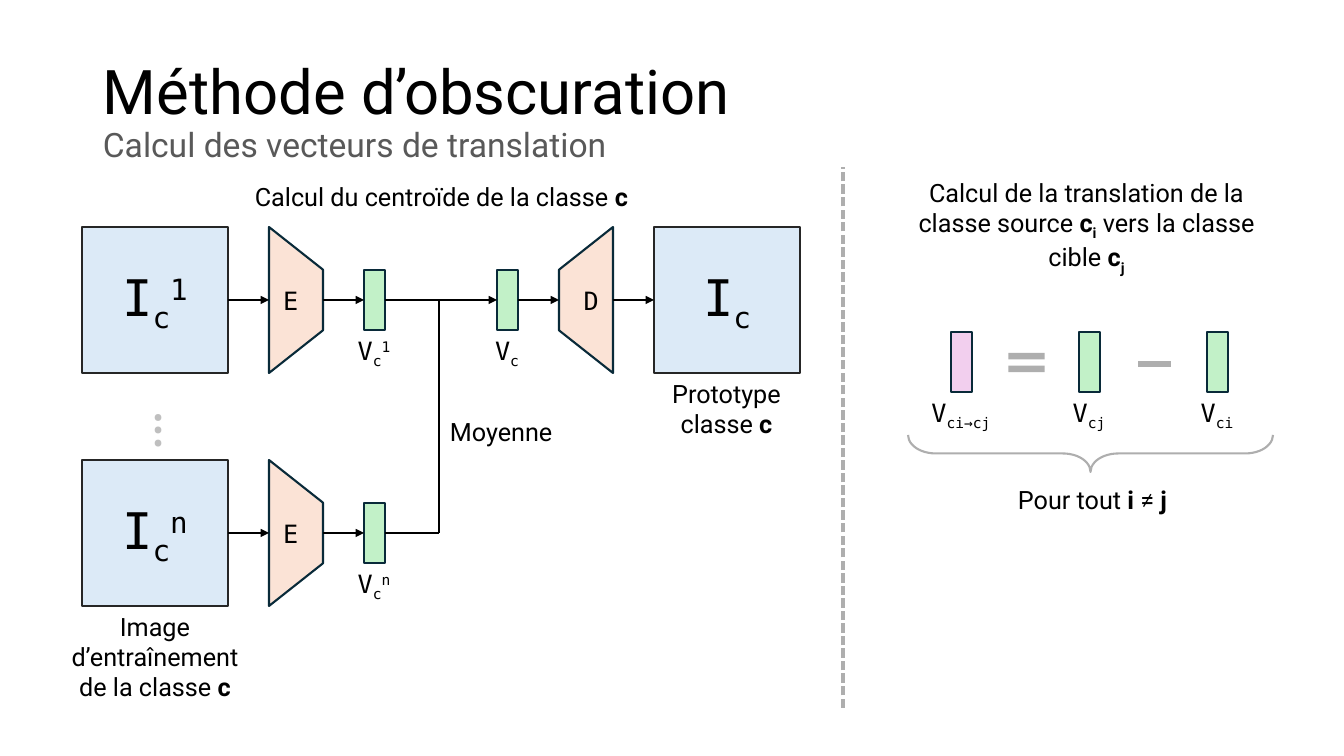
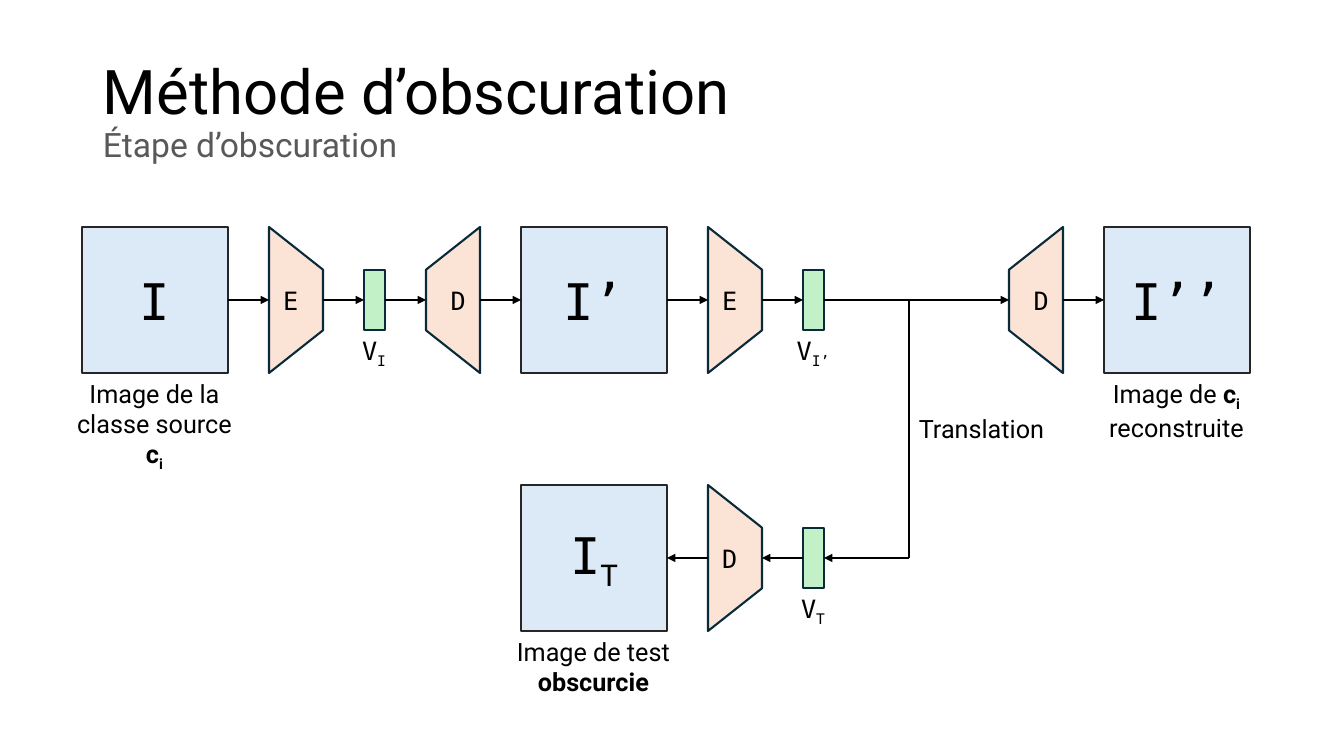
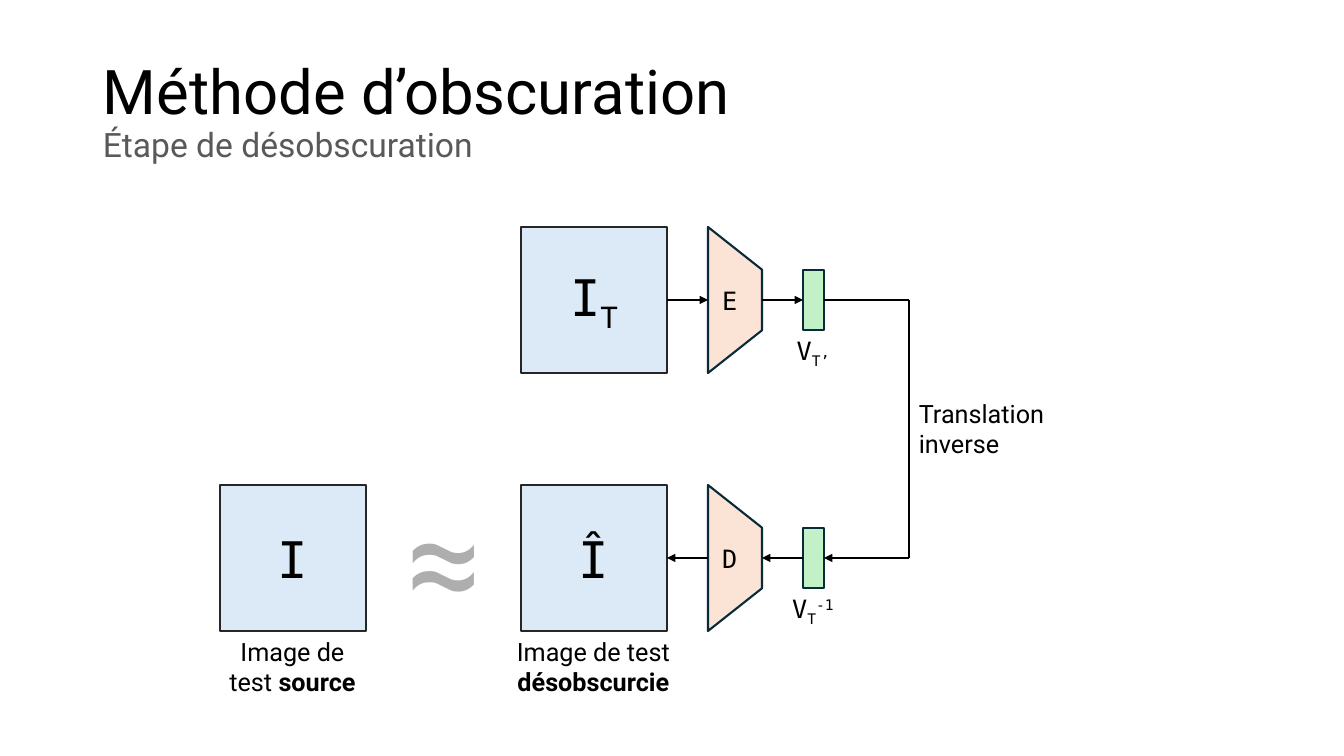
from collections import namedtuple
from dataclasses import dataclass

from lxml.etree import SubElement
from pptx import Presentation
from pptx.dml.color import RGBColor
from pptx.enum.dml import MSO_LINE
from pptx.enum.shapes import MSO_CONNECTOR, MSO_SHAPE
from pptx.enum.text import MSO_ANCHOR, PP_ALIGN
from pptx.oxml.ns import qn
from pptx.util import Emu, Pt


@dataclass(frozen=True)
class Theme:
    ink: str = "000000"
    muted: str = "595959"
    symbol: str = "AEAEAE"
    dots: str = "BFBFBF"
    image: str = "DCEAF7"
    image_edge: str = "262626"
    coder: str = "FBE3D6"
    vector: str = "C2F1C8"
    shift: str = "F2CFEE"
    network_edge: str = "092A39"
    sans: str = "Roboto"
    mono: str = "DejaVu Sans Mono"
    title: int = 44
    subtitle: int = 24
    body: int = 18
    image_label: int = 36
    approx: int = 96
    stroke: float = 1.5
    divider: float = 2.25


THEME = Theme()
SLIDE_W, SLIDE_H = 1344, 756
SCALE = 12192000 / SLIDE_W

# Sizes and row centres, in px
IMAGE, CODER_W, VECTOR_W, VECTOR_H, GAP = 146, 54, 21, 60, 41
LABEL_W, LABEL_H = 88, 40
TOP_ROW, TRAINING_ROW, LOWER_ROW, FORMULA_ROW = 300, 533, 558, 362
FORMULA_GAP = 107
MEAN_X, TRANSLATION_X = 439, 909
TITLE_BOX = (93, 40, 1159, 146)

BOLD = {"bold": True}
SUB, SUP = {"baseline": -25000}, {"baseline": 30000}
LEFT = {"align": PP_ALIGN.LEFT}

Step = namedtuple("Step", "kind label caption width", defaults=("", "", LABEL_W))
Chain = namedtuple("Chain", "x y steps arrows gap", defaults=("right", GAP))
Stop = namedtuple("Stop", "chain step")
Route = namedtuple("Route", "start end arrow", defaults=(True,))
Placed = namedtuple("Placed", "shape x y width is_rect")


def indexed(letter, below, above=""):
    """Runs for a letter with a subscript and, if given, a superscript."""
    return [letter, (below, SUB)] + ([(above, SUP)] if above else [])


def bold_class(index):
    return [("c", BOLD), (index, BOLD | SUB)]


ENCODER, DECODER = Step("narrowing", "E"), Step("widening", "D")
LOWER_DECODER = Step("narrowing", "D")


def vector(below, above="", kind="vector"):
    return Step(kind, "", indexed("V", below, above))


SLIDES = [
    {
        "subtitle": "Calcul des vecteurs de translation",
        "chains": [
            Chain(82, TOP_ROW, [Step("image", indexed("I", "c", "1")), ENCODER, vector("c", "1")]),
            Chain(497, TOP_ROW, [
                vector("c"), DECODER,
                Step("image", indexed("I", "c"), ["Prototype\nclasse ", ("c", BOLD)], 165),
            ]),
            Chain(82, TRAINING_ROW, [
                Step("image", indexed("I", "c", "n"),
                     ["Image d’entraînement de la classe ", ("c", BOLD)], 190),
                ENCODER, vector("c", "n"),
            ]),
            Chain(951, FORMULA_ROW,
                  [vector("ci→cj", kind="shift"), vector("cj"), vector("ci")],
                  None, FORMULA_GAP),
        ],
        "routes": [
            Route(Stop(0, 2), Stop(1, 0)),
            Route((MEAN_X, TOP_ROW), (MEAN_X, TRAINING_ROW), False),
            Route(Stop(2, 2), (MEAN_X, TRAINING_ROW), False),
        ],
        "texts": [
            ((82, 176, 719, 40), ["Calcul du centroïde de la classe ", ("c", BOLD)], {}),
            ((901, 172, 371, 102),
             ["Calcul de la translation de la classe source ", *bold_class("i"),
              " vers la classe cible ", *bold_class("j")], {}),
            ((440, 411, 175, 40), ["Moyenne"], LEFT),
            ((907, 479, 371, 40),
             ["Pour tout ", ("i", BOLD), " ≠ ", ("j", BOLD)], {}),
            ((95, 373, 95, 88), ["…"],
             LEFT | {"size": THEME.title, "color": THEME.dots, "vert": "vert270"}),
        ],
        "symbols": [
            (MSO_SHAPE.MATH_EQUAL, (1002, 337, 49, 51), (0.13, 0.12), 0),
            (MSO_SHAPE.MATH_MINUS, (1132, 351, 45, 26), (), 0),
            (MSO_SHAPE.RIGHT_BRACE, (1072, 271, 37, 365), (0.75, 0.5), 90),
        ],
        "divider": ((843, 708), (843, 167)),
    },
    {
        "subtitle": "Étape d’obscuration",
        "chains": [
            Chain(82, TOP_ROW, [
                Step("image", "I", ["Image de la classe source ", *bold_class("i")], 197),
                ENCODER, vector("I"), DECODER, Step("image", "I’"), ENCODER, vector("I’"),
            ]),
            Chain(1009, TOP_ROW, [
                DECODER,
                Step("image", "I’’", ["Image de ", *bold_class("i "), "reconstruite"], 165),
            ]),
            Chain(521, LOWER_ROW, [
                Step("image", indexed("I", "T"), ["Image de test ", ("obscurcie", BOLD)], 197),
                LOWER_DECODER, vector("T"),
            ], "left"),
        ],
        "routes": [
            Route(Stop(0, 6), Stop(1, 0)),
            Route((TRANSLATION_X, TOP_ROW), (TRANSLATION_X, LOWER_ROW), False),
            Route((TRANSLATION_X, LOWER_ROW), Stop(2, 2)),
        ],
        "texts": [((909, 408, 175, 40), ["Translation"], LEFT)],
    },
    {
        "subtitle": "Étape de désobscuration",
        "chains": [
            Chain(521, TOP_ROW, [Step("image", indexed("I", "T")), ENCODER, vector("T’")]),
            Chain(521, LOWER_ROW, [
                Step("image", "Î", ["Image de test ", ("désobscurcie", BOLD)], 197),
                LOWER_DECODER, vector("T", "-1"),
            ], "left"),
            Chain(220, LOWER_ROW, [
                Step("image", "I", ["Image de test ", ("source", BOLD)], 165),
            ]),
        ],
        "routes": [
            Route((TRANSLATION_X, TOP_ROW), Stop(0, 2), False),
            Route((TRANSLATION_X, TOP_ROW), (TRANSLATION_X, LOWER_ROW), False),
            Route((TRANSLATION_X, LOWER_ROW), Stop(1, 2)),
        ],
        "texts": [
            ((909, 393, 175, 72), ["Translation inverse"], LEFT),
            ((367, 471, 154, 173), ["≈"], {"size": THEME.approx, "color": THEME.symbol}),
        ],
    },
]


def px(*lengths):
    return [Emu(round(length * SCALE)) for length in lengths]


def rgb(color):
    return RGBColor.from_string(color)


def write(shape, runs, align=PP_ALIGN.CENTER, anchor=MSO_ANCHOR.TOP, spacing=None,
          vert=None, **base_format):
    """Fill a shape with runs: strings, or pairs of a string and its own format."""
    frame = shape.text_frame
    frame.word_wrap = True
    frame.vertical_anchor = anchor
    if vert:
        frame._txBody.bodyPr.set("vert", vert)
    paragraph = frame.paragraphs[0]
    for item in runs:
        text, own_format = (item, {}) if isinstance(item, str) else item
        look = {"size": THEME.body, "font": THEME.sans, "color": THEME.ink,
                "bold": False, "baseline": 0} | base_format | own_format
        for number, line in enumerate(text.split("\n")):
            if number:
                paragraph = frame.add_paragraph()
            if not line:
                continue
            run = paragraph.add_run()
            run.text = line
            run.font.size = Pt(look["size"])
            run.font.name = look["font"]
            run.font.bold = look["bold"]
            run.font.color.rgb = rgb(look["color"])
            if look["baseline"]:
                run._r.get_or_add_rPr().set("baseline", str(look["baseline"]))
    for paragraph in frame.paragraphs:
        paragraph.alignment = align
        if spacing:
            paragraph.line_spacing = spacing


def add_text(slide, box, runs, **text_format):
    write(slide.shapes.add_textbox(*px(*box)), runs, **text_format)


def add_outline(slide, preset, box, fill=None, edge=None, adjustments=(), rotation=0):
    shape = slide.shapes.add_shape(preset, *px(*box))
    shape.shadow.inherit = False
    shape.rotation = rotation
    for index, value in enumerate(adjustments):
        shape.adjustments[index] = value
    if fill:
        shape.fill.solid()
        shape.fill.fore_color.rgb = rgb(fill)
    else:
        shape.fill.background()
    if edge:
        shape.line.color.rgb = rgb(edge)
        shape.line.width = Pt(THEME.stroke)
    else:
        shape.line.fill.background()
    return shape


def add_line(slide, start, end, color=THEME.ink, width=THEME.stroke, arrow=False, dash=None):
    line = slide.shapes.add_connector(MSO_CONNECTOR.STRAIGHT, *px(*start, *end))
    line.line.color.rgb = rgb(color)
    line.line.width = Pt(width)
    if dash:
        line.line.dash_style = dash
    if arrow:
        SubElement(line.line._get_or_add_ln(), qn("a:tailEnd"), type="triangle")
    SubElement(line._element.spPr, qn("a:effectLst"))
    return line


def side_facing(stop, other):
    """Point on the side of a step that looks at the other end, and its connection site."""
    if not isinstance(stop, Placed):
        return stop, None
    other_x = other.x if isinstance(other, Placed) else other[0]
    if other_x > stop.x:
        return (stop.x + stop.width, stop.y), 3
    return (stop.x, stop.y), 1


def join(slide, start, end, arrow=True):
    start_point, start_site = side_facing(start, end)
    end_point, end_site = side_facing(end, start)
    line = add_line(slide, start_point, end_point, arrow=arrow)
    if start_site and start.is_rect:
        line.begin_connect(start.shape, start_site)
    if end_site and end.is_rect:
        line.end_connect(end.shape, end_site)


def add_step(slide, step, x, y):
    """Draw one step from its left edge and row centre, with its caption below."""
    is_rect = step.kind in ("image", "vector", "shift")
    size, vert, caption_font = THEME.body, None, THEME.mono
    if is_rect:
        if step.kind == "image":
            width = height = IMAGE
            fill, edge = THEME.image, THEME.image_edge
            size, caption_font = THEME.image_label, THEME.sans
        else:
            width, height = VECTOR_W, VECTOR_H
            fill = THEME.shift if step.kind == "shift" else THEME.vector
            edge = THEME.network_edge
        shape = add_outline(slide, MSO_SHAPE.RECTANGLE, (x, y - height // 2, width, height),
                            fill, edge)
    else:
        width, height = CODER_W, IMAGE
        rotation, vert = (90, "vert270") if step.kind == "narrowing" else (270, "vert")
        box = (x + (width - height) // 2, y - width // 2, height, width)
        shape = add_outline(slide, MSO_SHAPE.TRAPEZOID, box, THEME.coder,
                            THEME.network_edge, (0.79,), rotation)
    if step.label:
        write(shape, step.label, anchor=MSO_ANCHOR.MIDDLE, size=size, font=THEME.mono, vert=vert)
    if step.caption:
        left = x + (width - step.width) // 2
        add_text(slide, (left, y + height // 2, step.width, LABEL_H), step.caption,
                 font=caption_font)
    return Placed(shape, x, y, width, is_rect)


def add_chain(slide, chain):
    placed, x = [], chain.x
    for step in chain.steps:
        placed.append(add_step(slide, step, x, chain.y))
        x += placed[-1].width + chain.gap
    if chain.arrows:
        for left, right in zip(placed, placed[1:]):
            join(slide, *((left, right) if chain.arrows == "right" else (right, left)))
    return placed


def add_slide(deck, content):
    slide = deck.slides.add_slide(deck.slide_layouts[6])
    add_text(slide, TITLE_BOX,
             [("Méthode d’obscuration\n", {"size": THEME.title}),
              (content["subtitle"], {"size": THEME.subtitle, "color": THEME.muted})],
             anchor=MSO_ANCHOR.MIDDLE, spacing=0.9, **LEFT)
    chains = [add_chain(slide, chain) for chain in content["chains"]]
    for route in content["routes"]:
        start, end = (chains[stop.chain][stop.step] if isinstance(stop, Stop) else stop
                      for stop in (route.start, route.end))
        join(slide, start, end, route.arrow)
    for preset, box, adjustments, rotation in content.get("symbols", []):
        is_brace = preset == MSO_SHAPE.RIGHT_BRACE
        add_outline(slide, preset, box, None if is_brace else THEME.symbol,
                    THEME.symbol if is_brace else None, adjustments, rotation)
    if "divider" in content:
        add_line(slide, *content["divider"], color=THEME.symbol, width=THEME.divider,
                 dash=MSO_LINE.SQUARE_DOT)
    for box, runs, text_format in content["texts"]:
        add_text(slide, box, runs, **text_format)


def main():
    deck = Presentation()
    deck.slide_width, deck.slide_height = px(SLIDE_W, SLIDE_H)
    for content in SLIDES:
        add_slide(deck, content)
    deck.save("out.pptx")


if __name__ == "__main__":
    main()
